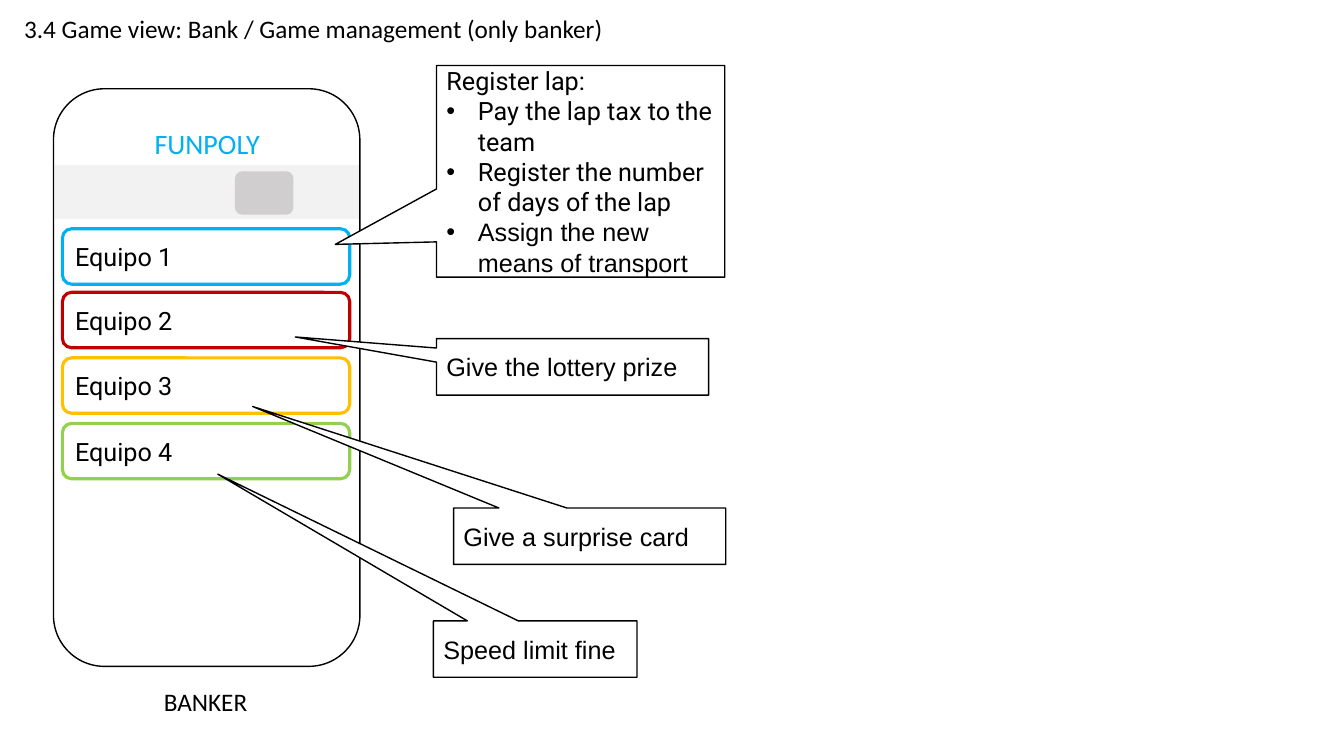
"""Builds the banker's game management slide: a phone mock-up with callouts."""
import pptx
import pptx.util
import pptx.dml.color
import pptx.enum.shapes
import pptx.enum.text
import lxml.etree

Pt = pptx.util.Pt
SHAPE = pptx.enum.shapes.MSO_SHAPE
ALIGN = pptx.enum.text.PP_ALIGN
ANCHOR = pptx.enum.text.MSO_ANCHOR

COLORS = {
    "black": "000000", "white": "FFFFFF", "bar": "F2F2F2", "button": "D0CECE",
    "blue": "00B0F0", "red": "C00000", "yellow": "FFC000", "green": "92D050",
}
TITLE = "3.4 Game view: Bank / Game management (only banker)"
TITLE_BOX = (10, 6, 433, 29)
LABELS = [
    ("BANKER", (109.4, 486.7, 74.9, 28.8), 18, "black"),
    ("FUNPOLY", (100.8, 87.1, 94.3, 31.7), 20, "blue"),
]
PHONE = (38.2, 63.4, 218.9, 412.6)
BAR = (38.2, 117.4, 218.9, 39.6)
BUTTON = (167.8, 122.4, 41.8, 31)
TEAMS = [
    ("Equipo 1", 163.4, "blue"),
    ("Equipo 2", 208.8, "red"),
    ("Equipo 3", 255.6, "yellow"),
    ("Equipo 4", 302.4, "green"),
]
TEAM_LEFT, TEAM_WIDTH, TEAM_HEIGHT = 44.6, 205.2, 39.6
CALLOUTS = [
    ((311.8, 46.8, 205.9, 151.2), (239.5, 174.6), [
        ("Register lap:", "Roboto", False),
        ("Pay the lap tax to the team", "Roboto", True),
        ("Register the number of days of the lap", "Roboto", True),
        ("Assign the new means of transport", "Arial", True),
    ]),
    ((311.8, 241.9, 194.4, 40.3), (210.9, 240.7),
     [("Give the lottery prize", "Arial", False)]),
    ((324, 362.9, 194.4, 40.3), (180.5, 290.4),
     [("Give a surprise card", "Arial", False)]),
    ((309.6, 443.5, 145.4, 40.3), (155.5, 338.7),
     [("Speed limit fine", "Arial", False)]),
]
BULLET_INDENT = 22.5


def rgb(name):
    """Return the named colour."""
    return pptx.dml.color.RGBColor.from_string(COLORS[name])


def place(box):
    """Turn a box in points into lengths."""
    return [Pt(v) for v in box]


def style(p, size, font, color="black", align=ALIGN.LEFT):
    """Format a paragraph and its runs."""
    p.alignment = align
    for r in p.runs:
        r.font.size, r.font.name = Pt(size), font
        r.font.color.rgb = rgb(color)


def add_bullet(p):
    """Give a paragraph a hanging round bullet."""
    pPr = p._p.get_or_add_pPr()
    pPr.set("marL", str(Pt(BULLET_INDENT)))
    pPr.set("indent", str(-Pt(BULLET_INDENT)))
    ns = pptx.oxml.ns.qn
    lxml.etree.SubElement(pPr, ns("a:buFont")).set("typeface", "Arial")
    lxml.etree.SubElement(pPr, ns("a:buChar")).set("char", "•")


def add_box(slide, kind, box, fill=None, line=None, width=1):
    """Add a flat shape with an optional fill and outline."""
    sp = slide.shapes.add_shape(kind, *place(box))
    sp.shadow.inherit = False
    if fill:
        sp.fill.solid()
        sp.fill.fore_color.rgb = rgb(fill)
    else:
        sp.fill.background()
    if line:
        sp.line.color.rgb = rgb(line)
        sp.line.width = Pt(width)
    else:
        sp.line.fill.background()
    return sp


def write(sp, lines):
    """Write (text, font, bulleted) lines into a shape."""
    tf = sp.text_frame
    tf.word_wrap = True
    tf.vertical_anchor = ANCHOR.MIDDLE
    for i, (text, font, bulleted) in enumerate(lines):
        p = tf.add_paragraph() if i else tf.paragraphs[0]
        p.text = text
        if bulleted:
            add_bullet(p)
        style(p, 18, font)


def add_callout(slide, box, tip, lines):
    """Add a callout whose pointer ends at the tip."""
    left, top, width, height = box
    sp = add_box(slide, SHAPE.RECTANGULAR_CALLOUT, box, "white", "black")
    sp.adjustments[0] = (tip[0] - left) / width - 0.5
    sp.adjustments[1] = (tip[1] - top) / height - 0.5
    write(sp, lines)


def main():
    """Build and save the slide."""
    prs = pptx.Presentation()
    prs.slide_width, prs.slide_height = Pt(960), Pt(540)
    slide = prs.slides.add_slide(prs.slide_layouts[5])

    title = slide.shapes.title
    title.left, title.top, title.width, title.height = place(TITLE_BOX)
    tf = title.text_frame
    tf.text = TITLE
    tf.word_wrap = False
    tf.vertical_anchor = ANCHOR.TOP
    style(tf.paragraphs[0], 18, "Calibri")

    add_box(slide, SHAPE.RECTANGLE, BAR, "bar", "white", 1.5)
    add_box(slide, SHAPE.ROUNDED_RECTANGLE, PHONE, line="black")
    add_box(slide, SHAPE.ROUNDED_RECTANGLE, BUTTON, "button")
    for text, box, size, color in LABELS:
        tf = slide.shapes.add_textbox(*place(box)).text_frame
        tf.text = text
        tf.word_wrap = False
        style(tf.paragraphs[0], size, "Calibri", color, ALIGN.CENTER)

    for name, top, color in TEAMS:
        box = (TEAM_LEFT, top, TEAM_WIDTH, TEAM_HEIGHT)
        sp = add_box(slide, SHAPE.ROUNDED_RECTANGLE, box, "white", color, 2.25)
        write(sp, [(name, "Roboto", False)])

    for box, tip, lines in CALLOUTS:
        add_callout(slide, box, tip, lines)

    prs.save("out.pptx")


if __name__ == "__main__":
    main()
